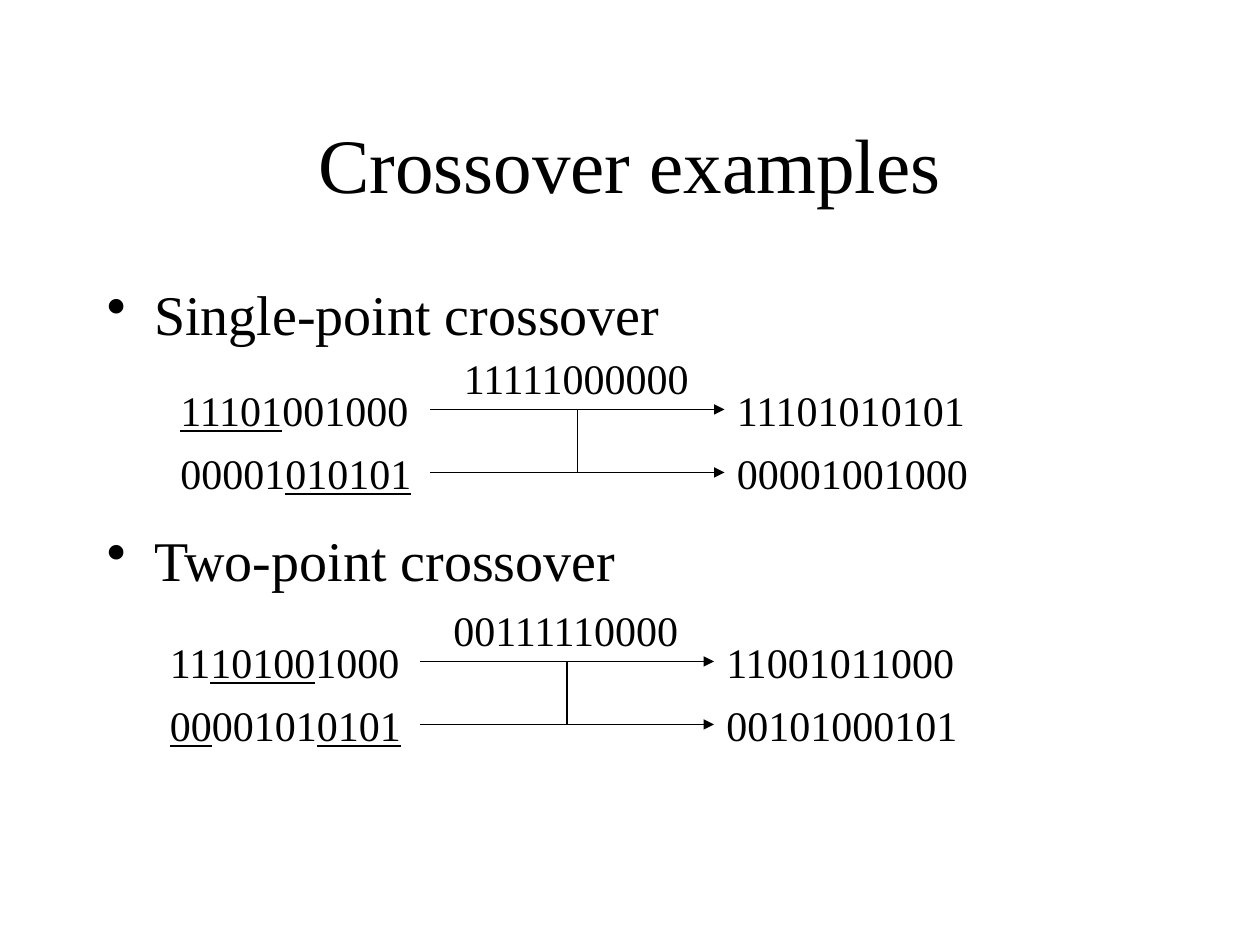
from pptx import Presentation
from pptx.dml.color import RGBColor
from pptx.enum.shapes import MSO_CONNECTOR
from pptx.enum.text import MSO_ANCHOR, PP_ALIGN
from pptx.oxml.ns import qn
from pptx.util import Pt
from lxml import etree

ELBOW = MSO_CONNECTOR.ELBOW
TOP, MIDDLE = MSO_ANCHOR.TOP, MSO_ANCHOR.MIDDLE
LEFT, CENTER = PP_ALIGN.LEFT, PP_ALIGN.CENTER
LEFT_SIDE, RIGHT_SIDE = 1, 3


def color(value):
    return RGBColor.from_string(value)


class Deck:
    """Draws text and connectors on the current slide in one style."""

    font = "Times New Roman"
    ink = "000000"
    margins = {"margin_left": 7.2, "margin_right": 7.2,
               "margin_top": 3.6, "margin_bottom": 3.6}

    def __init__(self, width, height):
        self.prs = Presentation()
        self.prs.slide_width, self.prs.slide_height = Pt(width), Pt(height)
        self.s = self.prs.slides.add_slide(self.prs.slide_layouts[6])

    def frame(self, x, y, w, h, anchor=TOP):
        sp = self.s.shapes.add_textbox(Pt(x), Pt(y), Pt(w), Pt(h))
        tf = sp.text_frame
        tf.word_wrap, tf.vertical_anchor = True, anchor
        for name, value in self.margins.items():
            setattr(tf, name, Pt(value))
        return sp

    def run(self, p, text, size, underline=False):
        r = p.add_run()
        r.text = text
        style = {"name": self.font, "size": Pt(size), "underline": underline}
        for name, value in style.items():
            setattr(r.font, name, value)
        r.font.color.rgb = color(self.ink)

    def text(self, x, y, w, h, marked, size, align=LEFT, anchor=TOP):
        sp = self.frame(x, y, w, h, anchor)
        p = sp.text_frame.paragraphs[0]
        p.alignment = align
        for i, part in enumerate(marked.split("_")):
            if part:
                self.run(p, part, size, underline=i % 2 == 1)
        return sp

    def bullets(self, x, y, w, h, items, size, gap):
        tf = self.frame(x, y, w, h).text_frame
        for i, item in enumerate(items):
            p = tf.add_paragraph() if i else tf.paragraphs[0]
            p.space_before = Pt(gap if i else 8)
            pPr = p._p.get_or_add_pPr()
            pPr.set("marL", str(Pt(27)))
            pPr.set("indent", str(-Pt(27)))
            etree.SubElement(pPr, qn("a:buChar"), char="•")
            self.run(p, item, size)

    def arrow(self, start, end):
        c = self.s.shapes.add_connector(ELBOW, 0, 0, 0, 0)
        c.begin_connect(start, RIGHT_SIDE)
        c.end_connect(end, LEFT_SIDE)
        c.line.width = Pt(0.75)
        c.line.color.rgb = color(self.ink)
        etree.SubElement(c.line._get_or_add_ln(), qn("a:tailEnd"), type="triangle")
        etree.SubElement(c._element.spPr, qn("a:effectLst"))

    def crossover(self, x, y, mask, parents, children):
        def string(dx, dy, bits):
            return self.text(x + dx, y + dy, 150, 36, bits, 24)

        string(162, 0, mask)
        first, second = [string(0, 18 + 36 * i, b) for i, b in enumerate(parents)]
        upper, lower = [string(318, 18 + 36 * i, b) for i, b in enumerate(children)]
        self.arrow(first, lower)
        self.arrow(second, upper)


def main():
    deck = Deck(720, 540)
    deck.bullets(54, 156, 612, 342,
                 ["Single-point crossover", "Two-point crossover"], 32, 102.5)
    deck.text(54, 48, 612, 90, "Crossover examples", 44, CENTER, MIDDLE)
    deck.crossover(96, 198, "11111000000",
                   ["_11101_001000", "00001_010101_"],
                   ["11101010101", "00001001000"])
    deck.crossover(90, 342, "00111110000",
                   ["11_10100_1000", "_00_00101_0101_"],
                   ["11001011000", "00101000101"])
    deck.prs.save("out.pptx")


if __name__ == "__main__":
    main()
